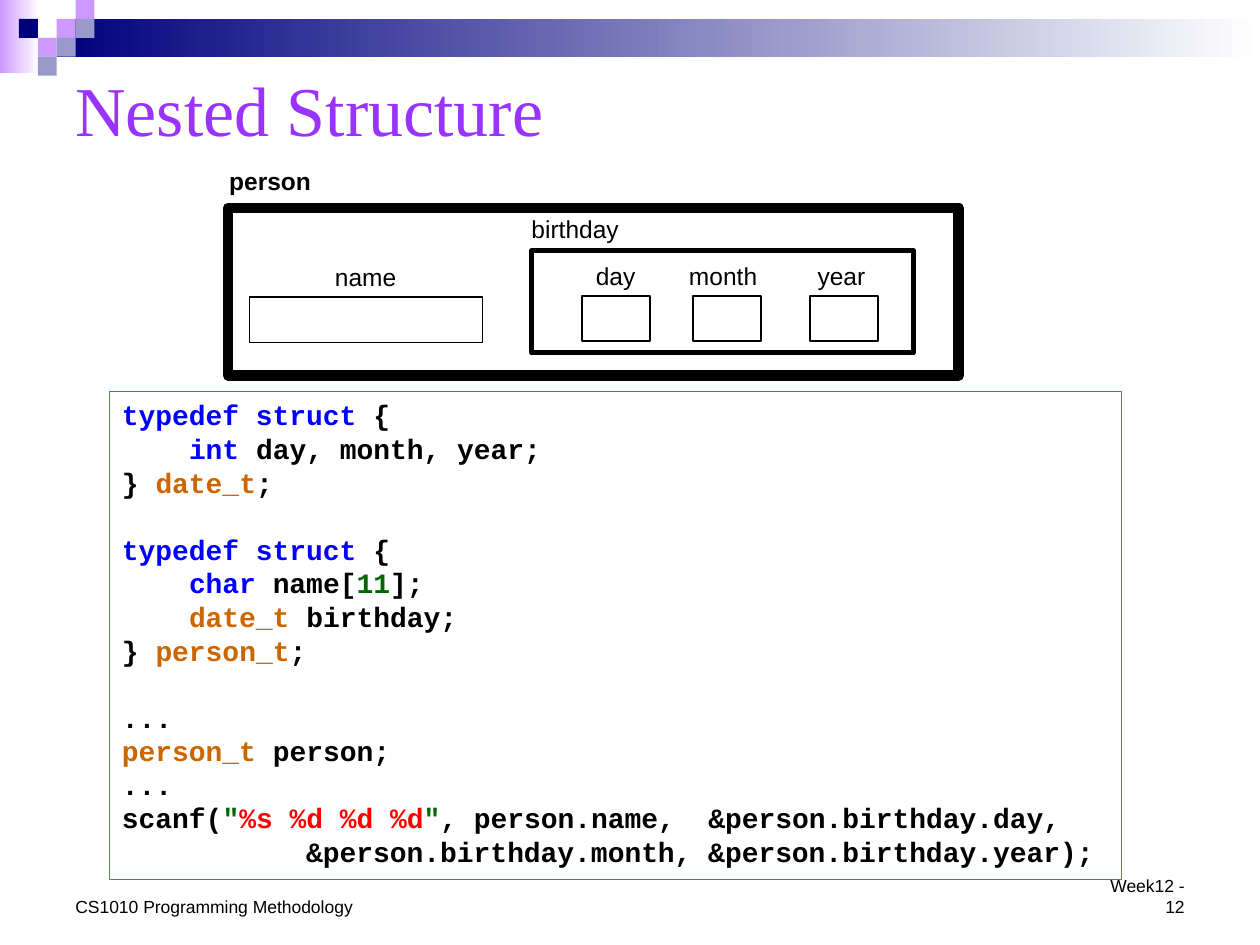
from typing import NamedTuple, Optional

from lxml import etree
from pptx import Presentation
from pptx.dml.color import RGBColor
from pptx.enum.shapes import MSO_SHAPE
from pptx.enum.text import MSO_ANCHOR, PP_ALIGN
from pptx.oxml.ns import qn
from pptx.util import Inches, Pt

BLACK, WHITE = "000000", "FFFFFF"
NAVY, LILAC, SLATE = "00007D", "CC99FF", "9999CC"
KEYWORD, TYPE, LITERAL, FORMAT = "0000FF", "CC6600", "006600", "FF0000"
CELL = 0.15  # side of one header square
CODE_SIZE, CODE_LEADING = 16, 19.2


class Box(NamedTuple):
    left: float
    top: float
    width: float
    height: float


class Label(NamedTuple):
    text: str
    box: Box
    size: float = 14
    font: str = "Arial"
    color: str = BLACK
    bold: bool = False
    anchor: MSO_ANCHOR = MSO_ANCHOR.TOP
    align: PP_ALIGN = PP_ALIGN.LEFT
    wrap: bool = False


class Frame(NamedTuple):
    box: Box
    weight: float
    fill: Optional[str] = None


class Field(NamedTuple):
    name: str
    left: float
    label_left: float
    label_width: float


def rgb(value: str) -> RGBColor:
    return RGBColor.from_string(value)


def add_rect(slide, box: Box, fill: Optional[str] = None,
             line: Optional[str] = None, weight: float = 1):
    rect = slide.shapes.add_shape(MSO_SHAPE.RECTANGLE, *map(Inches, box))
    rect.shadow.inherit = False
    if fill:
        rect.fill.solid()
        rect.fill.fore_color.rgb = rgb(fill)
    else:
        rect.fill.background()
    if line:
        rect.line.color.rgb = rgb(line)
        rect.line.width = Pt(weight)
        etree.SubElement(rect.line._get_or_add_ln(), qn("a:round"))
    else:
        rect.line.fill.background()
    return rect


def add_fade(slide, box: Box, color: str) -> None:
    """Rectangle fading from a colour to white, left to right."""
    band = add_rect(slide, box)
    band.fill.gradient()
    band.fill.gradient_angle = 0
    for stop, value, position in zip(band.fill.gradient_stops, (color, WHITE), (0, 1)):
        stop.color.rgb = rgb(value)
        stop.position = position


def style(font, size: float, name: str, color: str, bold: bool) -> None:
    font.size, font.name, font.bold = Pt(size), name, bold
    font.color.rgb = rgb(color)


def add_label(slide, label: Label) -> None:
    frame = slide.shapes.add_textbox(*map(Inches, label.box)).text_frame
    frame.word_wrap = label.wrap
    frame.vertical_anchor = label.anchor
    frame.text = label.text
    paragraph = frame.paragraphs[0]
    paragraph.alignment = label.align
    style(paragraph.runs[0].font, label.size, label.font, label.color, label.bold)


def add_code(slide, box: Box, blocks) -> None:
    """Code panel; a blank line's worth of space parts the blocks."""
    panel = add_rect(slide, box, WHITE, "00B050", 0.75).text_frame
    panel.word_wrap = True
    panel.vertical_anchor = MSO_ANCHOR.TOP
    paragraph = None
    for block in blocks:
        for row, tokens in enumerate(block):
            first = paragraph is None
            paragraph = panel.paragraphs[0] if first else panel.add_paragraph()
            paragraph.alignment = PP_ALIGN.LEFT
            paragraph.line_spacing = Pt(CODE_LEADING)
            if row == 0 and not first:
                paragraph.space_before = Pt(CODE_LEADING)
            for text, color in tokens:
                run = paragraph.add_run()
                run.text = text
                style(run.font, CODE_SIZE, "Courier New", color, True)


# Header squares as (column, row, colour)
SQUARES = [(3, 1, LILAC), (4, 0, LILAC), (4, 1, SLATE), (2, 2, LILAC),
           (1, 1, NAVY), (3, 2, SLATE), (2, 3, SLATE)]

# Title and footer
TEXTS = [
    Label("Nested Structure", Box(0.5, 0.42, 9, 0.88), 40, "Times New Roman",
          "9933FF", anchor=MSO_ANCHOR.MIDDLE, wrap=True),
    Label("CS1010 Programming Methodology", Box(0.5, 7.06, 2.42, 0.27), 10),
    Label("Week12 - 12", Box(8.58, 7.06, 0.92, 0.27), 10,
          anchor=MSO_ANCHOR.BOTTOM, align=PP_ALIGN.RIGHT, wrap=True),
]

# Structure diagram
DATE_FIELDS = [Field("day", 4.62, 4.63, 0.52), Field("month", 5.5, 5.37, 0.77),
               Field("year", 6.43, 6.39, 0.58)]
FRAMES = [
    *(Frame(Box(field.left, 2.35, 0.54, 0.36), 1, WHITE) for field in DATE_FIELDS),
    Frame(Box(4.22, 1.99, 3.03, 0.81), 3),
    Frame(Box(1.98, 2.36, 1.85, 0.36), 1, WHITE),
    Frame(Box(1.81, 1.65, 5.8, 1.33), 6),
]
DIAGRAM_LABELS = [
    *(Label(field.name, Box(field.label_left, 2.02, field.label_width, 0.34))
      for field in DATE_FIELDS),
    Label("birthday", Box(4.12, 1.65, 1.03, 0.34)),
    Label("name", Box(2.56, 2.03, 0.69, 0.34)),
    Label("person", Box(1.72, 1.27, 0.85, 0.34), bold=True),
]

# Code as blocks of lines of (text, colour) tokens
STRUCT_OPEN = [("typedef struct ", KEYWORD), ("{", BLACK)]
CODE = [
    [
        STRUCT_OPEN,
        [("    ", BLACK), ("int", KEYWORD), (" day, month, year;", BLACK)],
        [("} ", BLACK), ("date_t", TYPE), (";", BLACK)],
    ],
    [
        STRUCT_OPEN,
        [("    ", BLACK), ("char ", KEYWORD), ("name[", BLACK), ("11", LITERAL),
         ("];", BLACK)],
        [("    ", BLACK), ("date_t", TYPE), (" birthday;", BLACK)],
        [("} ", BLACK), ("person_t", TYPE), (";", BLACK)],
    ],
    [
        [("...", BLACK)],
        [("person_t", TYPE), (" person;", BLACK)],
        [("...", BLACK)],
        [("scanf(", BLACK), ('"', LITERAL), ("%s %d %d %d", FORMAT), ('"', LITERAL),
         (", person.name,  &person.birthday.day,", BLACK)],
        [("           &person.birthday.month, &person.birthday.year);", BLACK)],
    ],
]


def main() -> None:
    deck = Presentation()
    deck.slide_width, deck.slide_height = Inches(10), Inches(7.5)
    slide = deck.slides.add_slide(deck.slide_layouts[6])

    # Header band
    add_fade(slide, Box(0, 0, 0.31, 0.58), LILAC)
    add_fade(slide, Box(3 * CELL, CELL, 10 - 3 * CELL, 2 * CELL), NAVY)
    for column, row, color in SQUARES:
        add_rect(slide, Box(column * CELL, row * CELL, CELL, CELL), color)

    # Diagram, then all labels
    for frame in FRAMES:
        add_rect(slide, frame.box, frame.fill, BLACK, frame.weight)
    for label in TEXTS + DIAGRAM_LABELS:
        add_label(slide, label)

    add_code(slide, Box(0.87, 3.11, 8.03, 3.87), CODE)
    deck.save("out.pptx")


if __name__ == "__main__":
    main()
